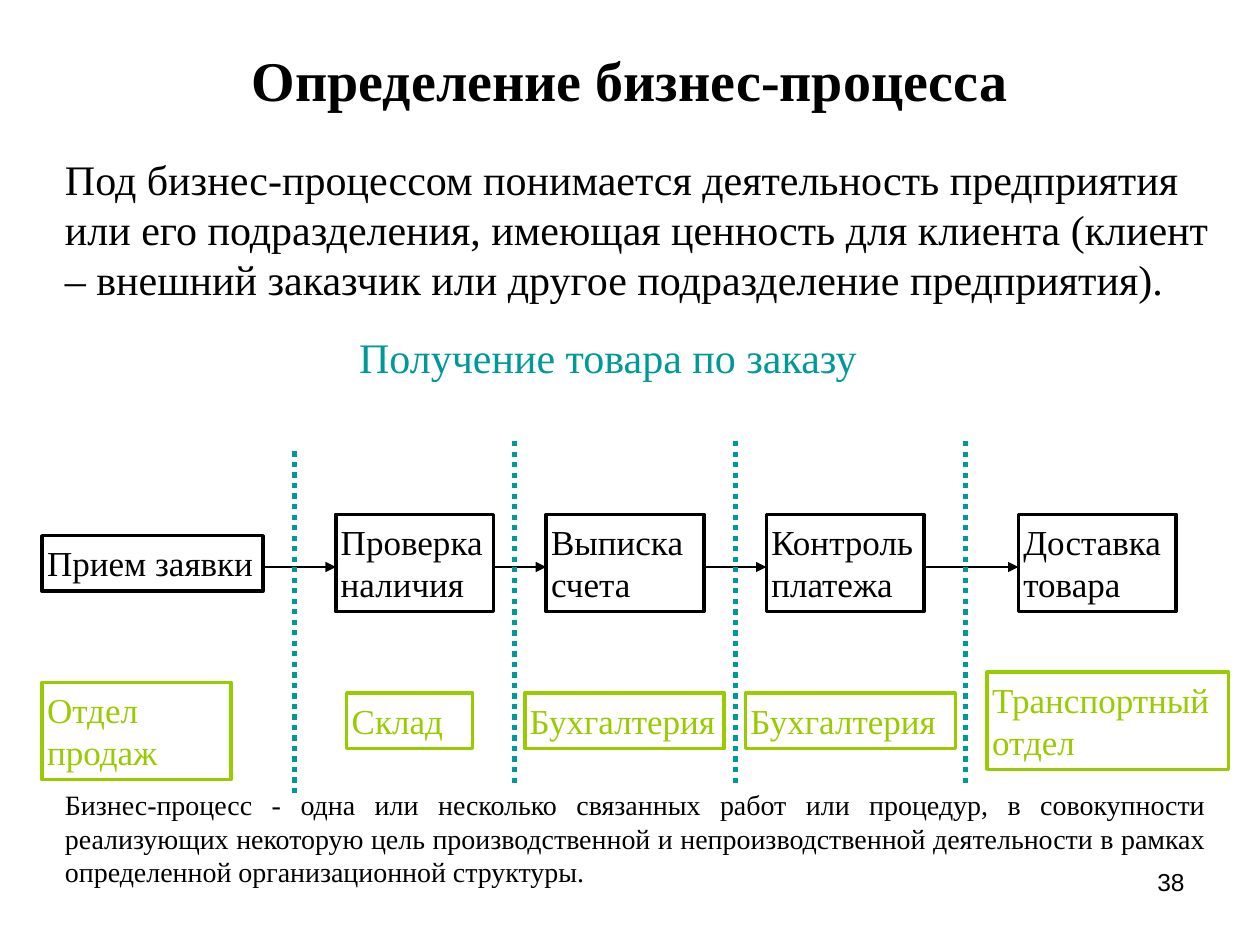
from dataclasses import dataclass

from lxml import etree
from pptx import Presentation
from pptx.dml.color import RGBColor
from pptx.enum.dml import MSO_LINE
from pptx.enum.shapes import MSO_CONNECTOR, MSO_SHAPE
from pptx.enum.text import MSO_ANCHOR, PP_ALIGN
from pptx.oxml.ns import qn
from pptx.util import Cm, Pt

LEFT, CENTER, RIGHT, JUSTIFY = (
    PP_ALIGN.LEFT, PP_ALIGN.CENTER, PP_ALIGN.RIGHT, PP_ALIGN.JUSTIFY)
TOP, MIDDLE = MSO_ANCHOR.TOP, MSO_ANCHOR.MIDDLE
RECTANGLE = MSO_SHAPE.RECTANGLE
STRAIGHT = MSO_CONNECTOR.STRAIGHT
DOTTED = MSO_LINE.ROUND_DOT

BLACK, TEAL, GREEN = "000000", "009999", "99CC00"
SERIF, SANS = "Times New Roman", "Arial"
LINE_FACTOR = 1.2
FLOW_Y = 11.43
DIVIDER_HEIGHT = 6.99


@dataclass
class Box:
    """A framed label; lengths in centimetres."""
    text: str
    left: float
    top: float
    width: float
    height: float
    color: str


@dataclass
class Divider:
    """A dotted border between departments."""
    x: float
    top: float


ONE_LINE, TWO_LINES = 1.12, 1.96
STEP_TOP, STEP_WIDTH = 10.37, 3.18
STEPS = [
    Box("Прием заявки", 0.85, 10.8, 4.45, ONE_LINE, BLACK),
    *(Box(text, left, STEP_TOP, STEP_WIDTH, TWO_LINES, BLACK)
      for text, left in (("Проверка наличия", 6.77), ("Выписка счета", 11.01),
                         ("Контроль платежа", 15.45), ("Доставка товара", 20.53))),
]
DEPARTMENTS = [
    Box("Отдел продаж", 0.85, 13.76, 3.81, TWO_LINES, GREEN),
    Box("Склад", 6.99, 13.97, 2.54, ONE_LINE, GREEN),
    Box("Бухгалтерия", 10.58, 13.97, 4.02, ONE_LINE, GREEN),
    Box("Бухгалтерия", 15.03, 13.97, 4.23, ONE_LINE, GREEN),
    Box("Транспортный отдел", 19.9, 13.55, 4.87, TWO_LINES, GREEN),
]
DIVIDERS = [Divider(5.93, 9.1), Divider(10.37, 8.89),
            Divider(14.82, 8.89), Divider(19.47, 8.89)]


def rgb(color: str) -> RGBColor:
    return RGBColor.from_string(color)


def write(shape, text: str, size: int, color: str = BLACK, align=LEFT,
          anchor=TOP, font: str = SERIF, bold: bool = False) -> None:
    frame = shape.text_frame
    frame.word_wrap = True
    frame.vertical_anchor = anchor
    paragraph = frame.paragraphs[0]
    paragraph.text = text
    paragraph.alignment = align
    paragraph.space_before = Pt(0)
    paragraph.line_spacing = Pt(size * LINE_FACTOR)
    paragraph.font.name = font
    paragraph.font.size = Pt(size)
    paragraph.font.bold = bold
    paragraph.font.color.rgb = rgb(color)


def add_text(slide, text: str, left: float, top: float, width: float,
             height: float, size: int, **style) -> None:
    area = slide.shapes.add_textbox(Cm(left), Cm(top), Cm(width), Cm(height))
    write(area, text, size, **style)


def add_box(slide, box: Box) -> None:
    frame = slide.shapes.add_shape(
        RECTANGLE, Cm(box.left), Cm(box.top), Cm(box.width), Cm(box.height))
    frame.shadow.inherit = False
    frame.fill.background()
    frame.line.color.rgb = rgb(box.color)
    frame.line.width = Pt(2)
    frame.text_frame.margin_left = frame.text_frame.margin_right = Cm(0.1)
    write(frame, box.text, 20, box.color)


def add_line(slide, x1: float, y1: float, x2: float, y2: float,
             color: str, width: float):
    connector = slide.shapes.add_connector(
        STRAIGHT, Cm(x1), Cm(y1), Cm(x2), Cm(y2))
    connector.line.color.rgb = rgb(color)
    connector.line.width = Pt(width)
    etree.SubElement(connector._element.spPr, qn("a:effectLst"))
    return connector


def add_arrow(slide, source: Box, target: Box) -> None:
    arrow = add_line(slide, source.left + source.width, FLOW_Y,
                     target.left, FLOW_Y, BLACK, 1.5)
    etree.SubElement(arrow.line._get_or_add_ln(), qn("a:tailEnd"), type="triangle")


def add_divider(slide, divider: Divider) -> None:
    border = add_line(slide, divider.x, divider.top,
                      divider.x, divider.top + DIVIDER_HEIGHT, TEAL, 3)
    border.line.dash_style = DOTTED


def main() -> None:
    presentation = Presentation()
    presentation.slide_width, presentation.slide_height = Cm(25.4), Cm(19.05)
    slide = presentation.slides.add_slide(presentation.slide_layouts[5])

    # Title and definition
    title = slide.shapes.title
    title.left, title.top = Cm(1.9), Cm(0)
    title.width, title.height = Cm(21.6), Cm(3.18)
    write(title, "Определение бизнес-процесса", 32, align=CENTER,
          anchor=MIDDLE, bold=True)
    add_text(slide, "Под бизнес-процессом понимается деятельность предприятия "
             "или его подразделения, имеющая ценность для клиента (клиент – "
             "внешний заказчик или другое подразделение предприятия).",
             1.06, 2.96, 23.71, 3.3, 24)
    add_text(slide, "Получение товара по заказу", 6.99, 6.56, 11.22, 1.27, 24,
             color=TEAL)

    # Process steps and the departments that carry them out
    for box in STEPS + DEPARTMENTS:
        add_box(slide, box)
    for source, target in zip(STEPS, STEPS[1:]):
        add_arrow(slide, source, target)
    for divider in DIVIDERS:
        add_divider(slide, divider)

    # Closing definition and page number
    add_text(slide, "Бизнес-процесс - одна или несколько связанных работ или "
             "процедур, в совокупности реализующих некоторую цель "
             "производственной и непроизводственной деятельности в рамках "
             "определенной организационной структуры.",
             1.06, 15.75, 23.5, 3.3, 16, align=JUSTIFY)
    add_text(slide, "38", 18.2, 17.35, 5.93, 1.32, 14, align=RIGHT, font=SANS)

    presentation.save("out.pptx")


if __name__ == "__main__":
    main()
